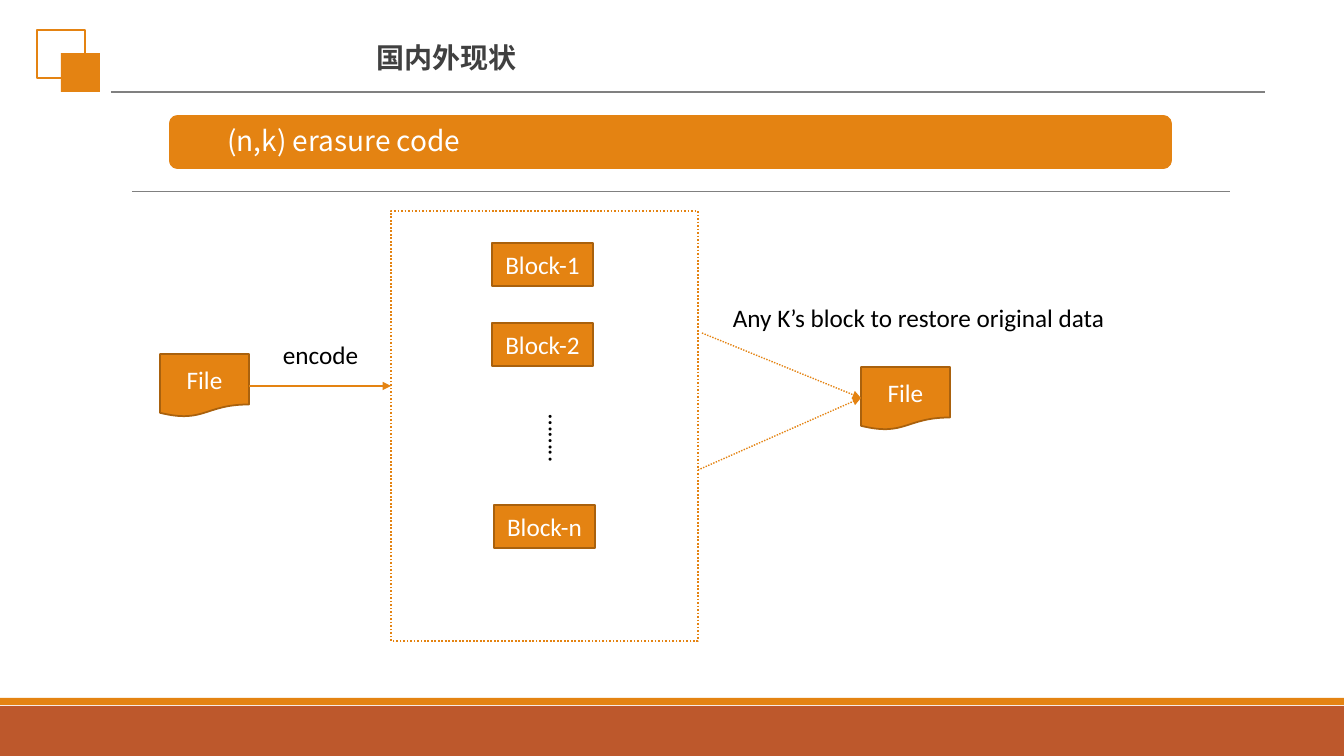
"""Build the slide on (n,k) erasure coding."""
from lxml import etree
from pptx import Presentation, util as u
from pptx.dml import color
from pptx.enum import dml, shapes, text
from pptx.oxml import ns

PX = 914400 / 100.8
ORANGE, EDGE, GREY, WHITE, BLACK = "E48312", "A9610D", "808080", "FFFFFF", "000000"
CJK = "Noto Sans CJK SC"
KIND, ALIGN = shapes.MSO_SHAPE, text.PP_ALIGN
LEFT, CENTER, JUSTIFY = ALIGN.LEFT, ALIGN.CENTER, ALIGN.JUSTIFY
MIDDLE, TOP = text.MSO_ANCHOR.MIDDLE, text.MSO_ANCHOR.TOP


def px(*lengths):
    """Turn pixels into EMU."""
    return [u.Emu(round(length * PX)) for length in lengths]


def write(box, wording, hex_color, size=18, font="Calibri", align=LEFT, anchor=TOP):
    """Fill a box with one formatted paragraph."""
    frame = box.text_frame
    frame.word_wrap = True
    frame.vertical_anchor = anchor
    para = frame.paragraphs[0]
    para.text = wording
    para.alignment = align
    para.font.size = u.Pt(size)
    para.font.name = font
    para.font.color.rgb = color.RGBColor.from_string(hex_color)
    latin = para._p.pPr.find(ns.qn("a:defRPr")).find(ns.qn("a:latin"))
    east_asian = etree.Element(ns.qn("a:ea"), typeface=font)
    latin.addnext(east_asian)
    return para


deck = Presentation()
deck.slide_width, deck.slide_height = px(1344, 756)
page = deck.slides.add_slide(deck.slide_layouts[5])

title = page.shapes.title
title.left, title.top, title.width, title.height = px(262, 29, 369, 56)
title.text_frame.margin_left = title.text_frame.margin_right = 0
heading = write(title, "国内外现状", "404040", 20, CJK, CENTER, MIDDLE)
heading.font.bold = True

panels = [
    (KIND.RECTANGLE, (0, 706, 1344, 50), "BD582C", None, 0, ""),
    (KIND.RECTANGLE, (0, 698, 1344, 7), ORANGE, None, 0, ""),
    (KIND.RECTANGLE, (37, 30, 48, 48), None, ORANGE, 1, ""),
    (KIND.RECTANGLE, (61, 53, 39, 39), ORANGE, None, 0, ""),
    (KIND.ROUNDED_RECTANGLE, (168, 114, 1005, 56), ORANGE, WHITE, 1.25, ""),
    (KIND.FLOWCHART_DOCUMENT, (160, 354, 89, 63), ORANGE, EDGE, 1.25, "File"),
    (KIND.FLOWCHART_DOCUMENT, (861, 367, 89, 63), ORANGE, EDGE, 1.25, "File"),
    (KIND.RECTANGLE, (492, 243, 101, 43), ORANGE, EDGE, 1.25, "Block-1"),
    (KIND.RECTANGLE, (492, 323, 101, 43), ORANGE, EDGE, 1.25, "Block-2"),
    (KIND.RECTANGLE, (494, 505, 101, 43), ORANGE, EDGE, 1.25, "Block-n"),
    (KIND.RECTANGLE, (391, 211, 307, 430), None, ORANGE, 1.25, ""),
]
for kind, place, fill, edge, weight, label in panels:
    panel = page.shapes.add_shape(kind, *px(*place))
    panel.shadow.inherit = False
    if fill:
        panel.fill.solid()
        panel.fill.fore_color.rgb = color.RGBColor.from_string(fill)
    else:
        panel.fill.background()
    if edge:
        panel.line.color.rgb = color.RGBColor.from_string(edge)
        panel.line.width = u.Pt(weight)
    else:
        panel.line.fill.background()
    if label:
        write(panel, label, WHITE, align=CENTER, anchor=MIDDLE)
block_frame = panel
block_frame.line.dash_style = dml.MSO_LINE.ROUND_DOT

lines = [
    ((132, 191, 1230, 191), GREY, 0.5, False, False),
    ((111, 92, 1265, 92), GREY, 1, False, False),
    ((249, 386, 391, 386), ORANGE, 1, False, True),
    ((702, 333, 861, 398), ORANGE, 1, True, True),
    ((698, 470, 861, 398), ORANGE, 1, True, True),
]
for ends, hue, weight, dotted, arrow in lines:
    line = page.shapes.add_connector(shapes.MSO_CONNECTOR.STRAIGHT, *px(*ends))
    line.line.color.rgb = color.RGBColor.from_string(hue)
    line.line.width = u.Pt(weight)
    if dotted:
        line.line.dash_style = dml.MSO_LINE.ROUND_DOT
    if arrow:
        etree.SubElement(line.line._get_or_add_ln(), ns.qn("a:tailEnd"), type="triangle")
    etree.SubElement(line._element.spPr, ns.qn("a:effectLst"))

banner = page.shapes.add_textbox(*px(169, 117, 1001, 50))
frame = banner.text_frame
frame.margin_left = frame.margin_right = frame.margin_top = frame.margin_bottom = px(8)[0]
topic = write(banner, "(n,k) erasure code", WHITE, 20, CJK, JUSTIFY, MIDDLE)
topic.line_spacing = 0.9
topic.space_after = u.Pt(7)
topic._p.pPr.set("indent", str(u.Inches(0.5)))

captions = [
    ("encode", (273, 334, 114, 40)),
    ("Any K’s block to restore original data", (723, 297, 393, 40)),
    ("……..", (529, 405, 50, 102)),
]
for wording, place in captions:
    caption = page.shapes.add_textbox(*px(*place))
    write(caption, wording, BLACK)
ellipsis = caption
ellipsis.text_frame._txBody.bodyPr.set("vert", "eaVert")

deck.save("out.pptx")
